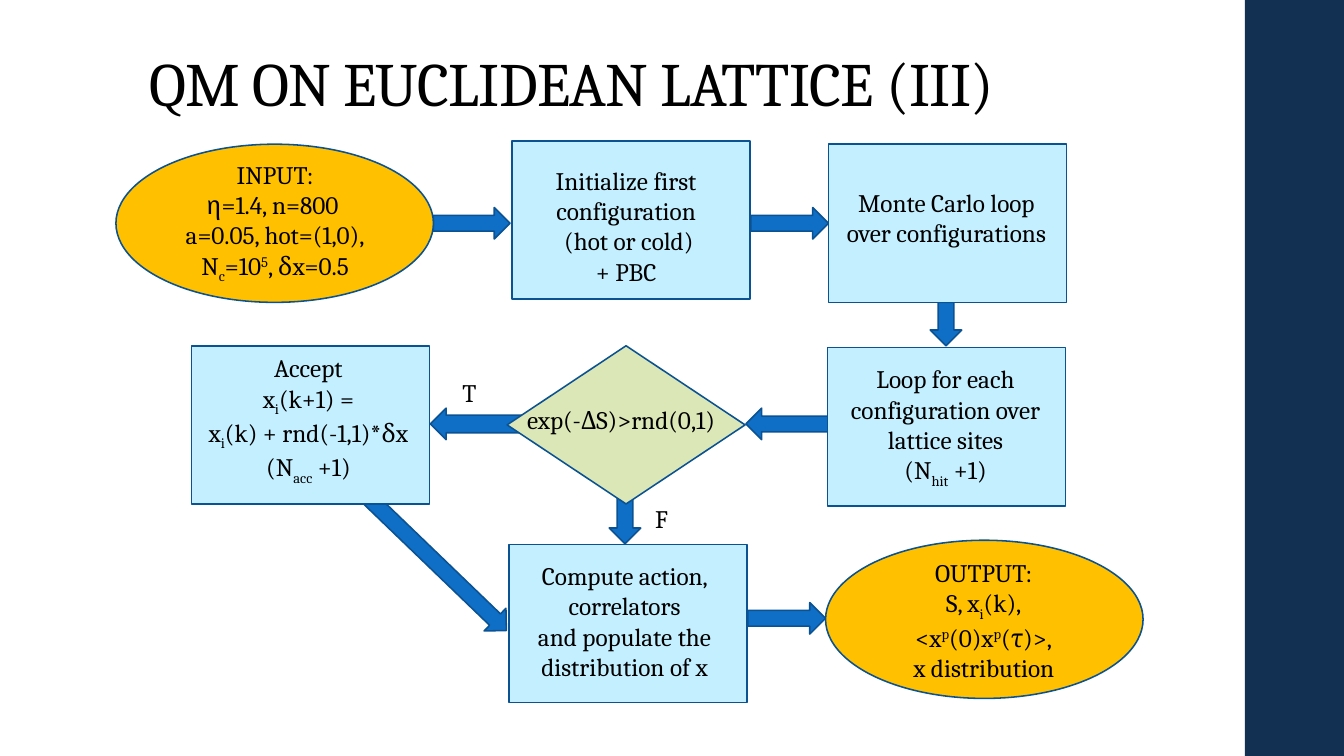
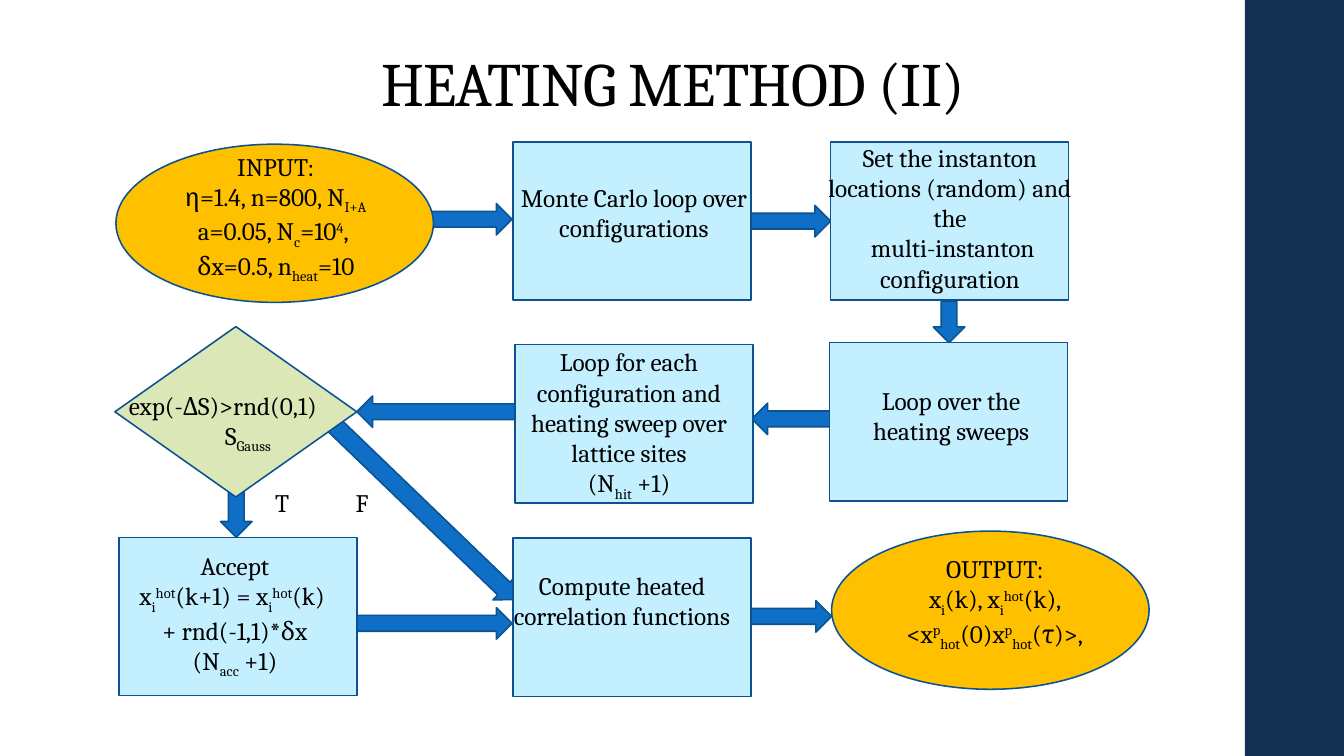
from math import atan2, degrees, hypot

from pptx import Presentation
from pptx.dml.color import RGBColor
from pptx.enum.shapes import MSO_SHAPE
from pptx.enum.text import MSO_ANCHOR, PP_ALIGN
from pptx.util import Pt

COLORS = {"band": "113052", "arrow": "0F6FC6", "edge": "0B5292", "text": "000000",
          "terminal": "FFC000", "step": "C4EFFF", "decision": "DBE7B6"}
FONT = "Cambria"
SLIDE_W, SLIDE_H = 960, 540
BAND_LEFT = 889.2
TITLE_BOX = (99.4, 28.8, 763.2, 60.5)
ARROW_H = 22.5
THICK = 0.56

# Node kinds: preset shape, default size
KINDS = {
    "terminal": (MSO_SHAPE.OVAL, (226.8, 113)),
    "step": (MSO_SHAPE.RECTANGLE, (170, 113)),
    "decision": (MSO_SHAPE.DIAMOND, (170, 113)),
}
# One letter per paragraph; kinds not listed are centred
ALIGNMENTS = {"decision": "lc", "label": "l"}
ALIGN = {"l": PP_ALIGN.LEFT, "c": PP_ALIGN.CENTER}

# Text markup: _subscript_ and ^superscript^
# nodes: kind, (left, top[, width, height]), text box, paragraphs
# labels: text box, text
# arrows: start, end[, shaft thickness]
SLIDES = [
    {
        "title": "QM ON EUCLIDEAN LATTICE (III)",
        "title_align": "l",
        "nodes": [
            ("terminal", (82.8, 103), (97.2, 110.2, 198.7, 94.3),
             ["INPUT:", "η=1.4, n=800 ", "a=0.05, hot=(1,0),", "N_c_=10^5^, δx=0.5"]),
            ("step", (365.8, 100.8), (362.2, 114.5, 170, 94.3),
             ["Initialize first configuration\n (hot or cold)", "+ PBC"]),
            ("step", (591.8, 103), (588.2, 130.3, 175.7, 51),
             ["Monte Carlo loop over configurations"]),
            ("step", (591.1, 248.4), (590.4, 256.3, 170, 94.3),
             ["Loop for each configuration over lattice sites", "(N_hit_ +1)"]),
            ("decision", (362.2, 247), (369.4, 285.1, 184.3, 28.8),
             ["exp(-ΔS)>rnd(0,1)"]),
            ("step", (136.8, 247), (132.5, 248.4, 175.7, 94.3),
             ["Accept", "x_i_(k+1) =\nx_i_(k) + rnd(-1,1)*δx", "(N_acc_ +1)"]),
            ("step", (363.6, 388.8), (362.2, 396.7, 167.8, 94.3),
             ["Compute action, correlators\nand populate the distribution of x"]),
            ("terminal", (589.7, 385.9), (623.5, 394.6, 158.4, 94.3),
             ["OUTPUT:", "S, x_i_(k),", "<x^p^(0)x^p^(τ)>,", "x distribution"]),
        ],
        "labels": [((323.3, 265.7, 28.8, 28.8), "T"), ((460.8, 355.7, 42.5, 28.8), "F")],
        "arrows": [
            ((309.6, 159.5), (364.3, 159.5)),
            ((536.4, 159.5), (591.8, 159.5)),
            ((675.7, 216), (675.7, 247)),
            ((612.7, 302.8), (532.8, 302.8)),
            ((384.5, 302.8), (307.4, 302.8), THICK),
            ((446.4, 351), (446.4, 388.4)),
            ((255.3, 348), (361.7, 450.4)),
            ((534.2, 441.7), (589.7, 441.7)),
        ],
    },
    {
        "title": "HEATING METHOD (II)",
        "title_align": "c",
        "nodes": [
            ("terminal", (82.8, 103), (74.9, 104.4, 244.1, 94.3),
             ["INPUT:", "η=1.4, n=800, N_I+A_", "a=0.05, N_c_=10^4^, ",
              "δx=0.5, n_heat_=10"]),
            ("step", (366.5, 101.5), (360.7, 126.7, 184.3, 51),
             ["Monte Carlo loop over configurations"]),
            ("step", (593.3, 101.5), (577.4, 97.9, 202.3, 116.6),
             ["Set the instanton locations (random) and the",
              " multi-instanton configuration"]),
            ("step", (592.6, 244.8), (607, 271.4, 144.7, 51),
             ["Loop over the heating sweeps"]),
            ("step", (367.9, 246.2), (364.3, 244.1, 170, 116.6),
             ["Loop for each configuration and heating sweep over lattice sites",
              "(N_hit_ +1)"]),
            ("decision", (82.1, 233.3, 172.8, 121.7), (85, 275, 184.3, 51),
             ["exp(-ΔS)>rnd(0,1)", "S_Gauss_"]),
            ("step", (85, 383.8), (82.8, 389.5, 170, 94.3),
             ["Accept", "x_i_^hot^(k+1) = x_i_^hot^(k) ", "+ rnd(-1,1)*δx",
              "(N_acc_ +1)"]),
            ("step", (366.5, 384.5), (355, 403.9, 178.6, 72.7),
             ["Compute heated correlation functions"]),
            ("terminal", (594, 379.4), (611.3, 391.7, 198.7, 72.7),
             ["OUTPUT:", " x_i_(k), x_i_^hot^(k), ", "<x^p^_hot_(0)x^p^_hot_(τ)>,"]),
        ],
        "labels": [((189.4, 344.9, 36, 28.8), "T"), ((247, 344.9, 25.9, 28.8), "F")],
        "arrows": [
            ((249.8, 156.6), (365.8, 156.6)),
            ((515.5, 158), (593.3, 158)),
            ((677.9, 215.3), (677.9, 244.8)),
            ((648, 299.2), (537.1, 299.2)),
            ((388.8, 294.1), (254.9, 294.1)),
            ((168.8, 303.8), (168.8, 383.8)),
            ((216.6, 282.4), (368, 428.2), THICK),
            ((163.4, 445.3), (365.8, 445.3)),
            ((439.9, 440.3), (594, 440.3)),
        ],
    },
]


def add_block(s, preset, box, fill, edge=None):
    sp = s.shapes.add_shape(preset, *map(Pt, box))
    sp.shadow.inherit = False
    sp.fill.solid()
    sp.fill.fore_color.rgb = RGBColor.from_string(COLORS[fill])
    if edge:
        sp.line.color.rgb = RGBColor.from_string(COLORS[edge])
        sp.line.width = Pt(1.1)
    else:
        sp.line.fill.background()
    return sp


def add_arrow(s, start, end, shaft=None):
    (x1, y1), (x2, y2) = start, end
    length = hypot(x2 - x1, y2 - y1)
    box = ((x1 + x2 - length) / 2, (y1 + y2 - ARROW_H) / 2, length, ARROW_H)
    sp = add_block(s, MSO_SHAPE.RIGHT_ARROW, box, "arrow", "edge")
    sp.rotation = degrees(atan2(y2 - y1, x2 - x1))
    if shaft:
        sp.adjustments[0] = shaft


def split_markup(text):
    """Yield (text, baseline) pairs; baseline is in thousandths of a percent."""
    for i, piece in enumerate(text.split("_")):
        for j, bit in enumerate(piece.split("^")):
            if bit:
                yield bit, -25000 if i % 2 else 30000 if j % 2 else 0


def add_run(p, text, size, baseline=0, spacing=0):
    r = p.add_run()
    r.text = text
    for name, value in {"name": FONT, "size": Pt(size)}.items():
        setattr(r.font, name, value)
    r.font.color.rgb = RGBColor.from_string(COLORS["text"])
    for name, value in {"baseline": baseline, "spc": spacing}.items():
        if value:
            r.font._element.set(name, str(value))


def add_text(s, box, paragraphs, aligns="ccccc", size=18, spacing=0):
    tf = s.shapes.add_textbox(*map(Pt, box)).text_frame
    tf.word_wrap = True
    for i, (text, align) in enumerate(zip(paragraphs, aligns)):
        p = tf.add_paragraph() if i else tf.paragraphs[0]
        p.alignment = ALIGN[align]
        for n, line in enumerate(text.split("\n")):
            if n:
                p.add_line_break()
            for bit, baseline in split_markup(line):
                add_run(p, bit, size, baseline, spacing)
    return tf


def add_frame(s, title, align):
    # Side band and title
    add_block(s, MSO_SHAPE.RECTANGLE, (BAND_LEFT, 0, SLIDE_W - BAND_LEFT, SLIDE_H), "band")
    tf = add_text(s, TITLE_BOX, [title], align, 44, -50)
    tf.vertical_anchor = MSO_ANCHOR.BOTTOM
    tf.paragraphs[0].line_spacing = 0.9


def main():
    prs = Presentation()
    prs.slide_width, prs.slide_height = Pt(SLIDE_W), Pt(SLIDE_H)
    for content in SLIDES:
        s = prs.slides.add_slide(prs.slide_layouts[6])
        add_frame(s, content["title"], content["title_align"])
        # Arrows lie behind the nodes they join
        for arrow in content["arrows"]:
            add_arrow(s, *arrow)
        for kind, place, text_box, paragraphs in content["nodes"]:
            preset, size = KINDS[kind]
            add_block(s, preset, place[:2] + (place[2:] or size), kind, "edge")
            add_text(s, text_box, paragraphs, ALIGNMENTS.get(kind, "ccccc"))
        for text_box, text in content["labels"]:
            add_text(s, text_box, [text], ALIGNMENTS["label"])
    prs.save("out.pptx")


if __name__ == "__main__":
    main()
